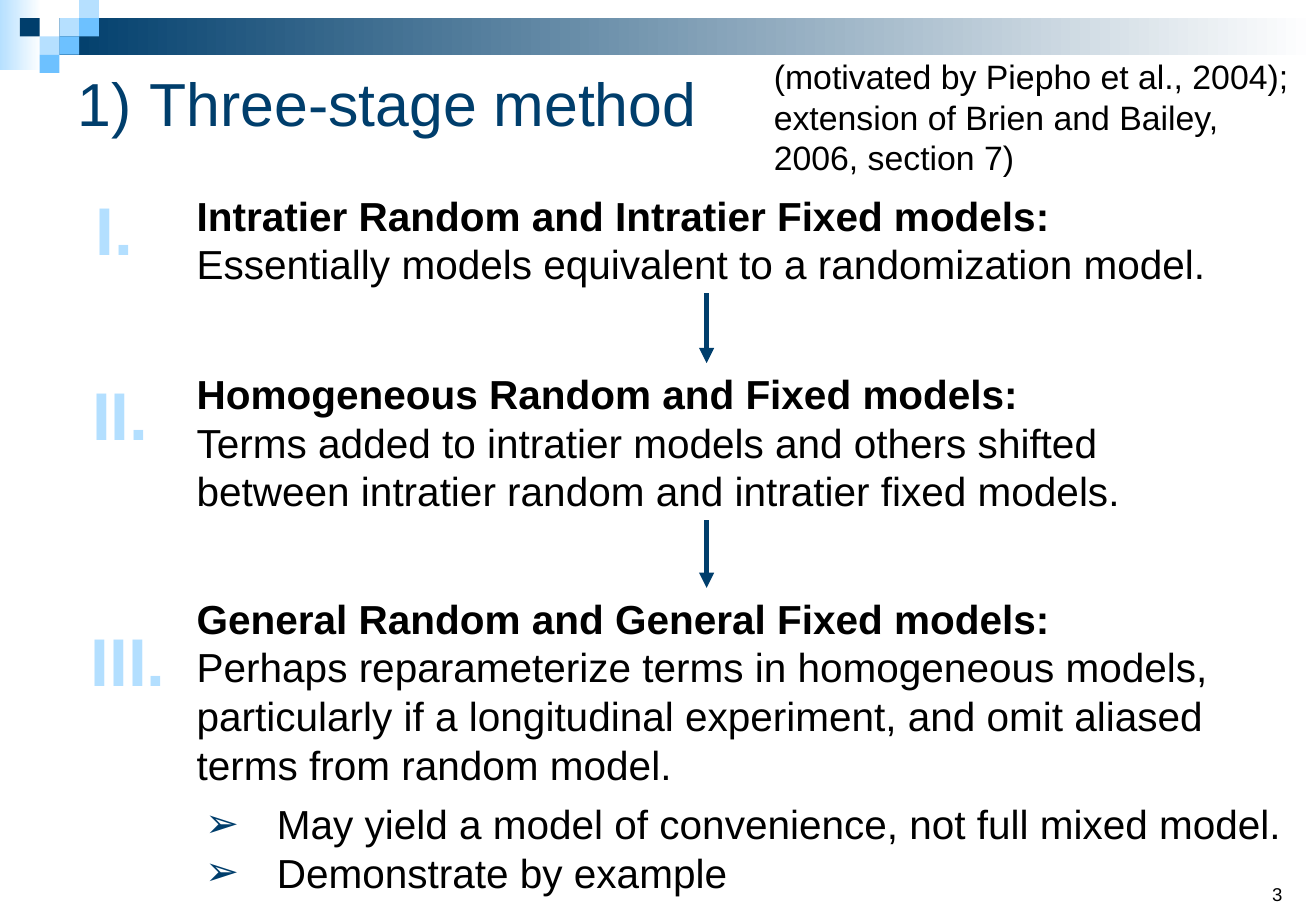
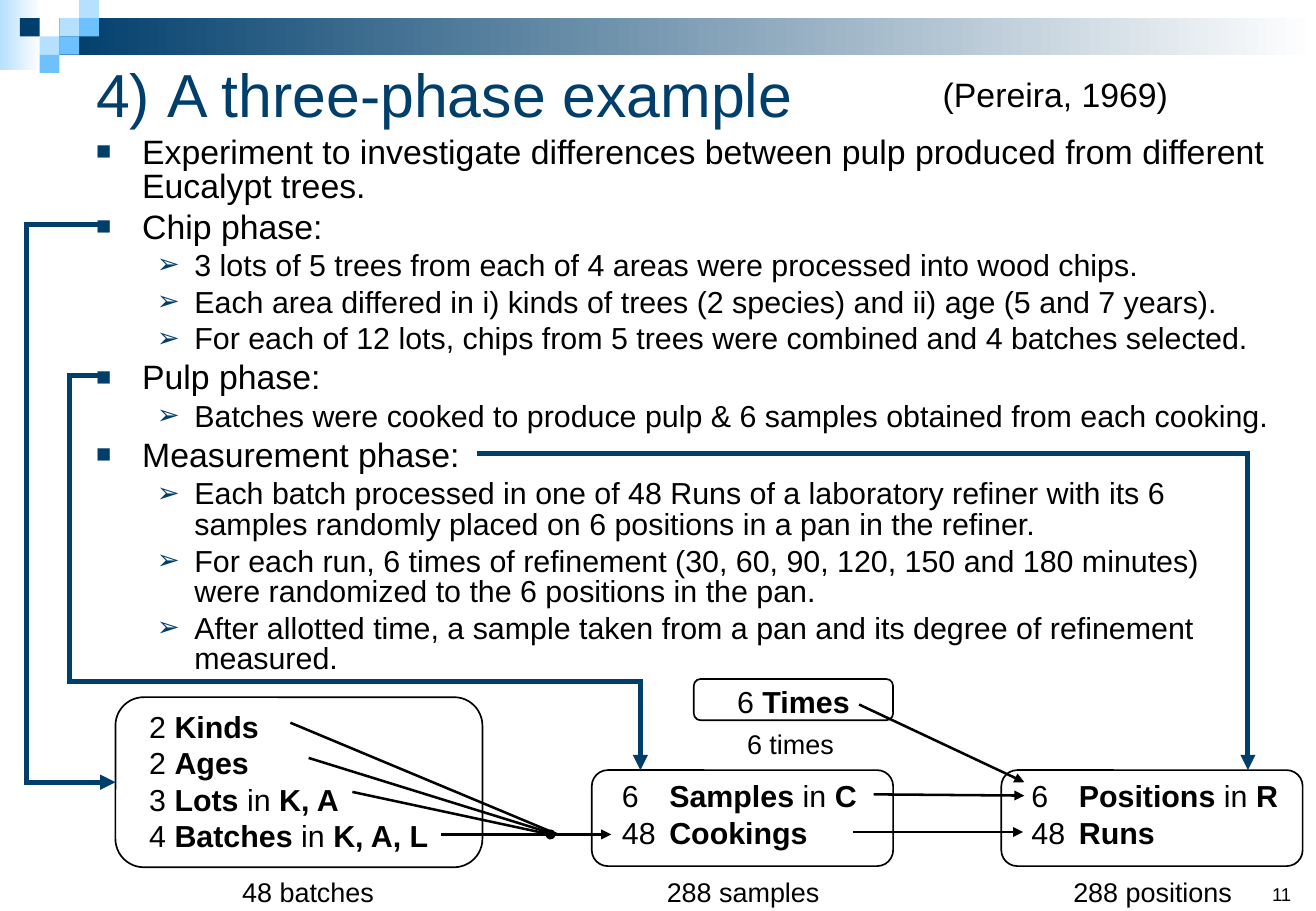
from dataclasses import dataclass
from typing import Any, NamedTuple, Optional

from lxml import etree
from pptx import Presentation
from pptx.dml.color import RGBColor
from pptx.enum.shapes import MSO_CONNECTOR, MSO_SHAPE
from pptx.enum.text import MSO_ANCHOR, MSO_AUTO_SIZE, PP_ALIGN
from pptx.oxml.ns import qn
from pptx.util import Inches, Pt

LEFT, CENTER = PP_ALIGN.LEFT, PP_ALIGN.CENTER
TOP, MIDDLE, BOTTOM = MSO_ANCHOR.TOP, MSO_ANCHOR.MIDDLE, MSO_ANCHOR.BOTTOM
NO_FIT = MSO_AUTO_SIZE.NONE
RECTANGLE, ROUNDED = MSO_SHAPE.RECTANGLE, MSO_SHAPE.ROUNDED_RECTANGLE
STRAIGHT = MSO_CONNECTOR.STRAIGHT

COLORS = {
    "navy": "003E6C", "sky": "6DC1FF", "pale": "B6E0FF", "white": "FFFFFF",
    "black": "000000", "numeral": "B3DFFF", "numeral_edge": "005390",
}
FONT = "Arial"
CELL = Inches(0.1)
SLIDE_COLUMNS, SLIDE_ROWS = 108.3, 75
TILE_COLUMNS, TILE_ROWS = 1.63, 1.5
TILES = [(3, 1, "pale"), (4, 0, "pale"), (4, 1, "sky"), (2, 2, "pale"),
         (1, 1, "navy"), (3, 2, "sky"), (2, 3, "sky")]


class Box(NamedTuple):
    column: float
    row: float
    columns: float
    rows: float


class Point(NamedTuple):
    column: float
    row: float


class Bullet(NamedTuple):
    symbol: str
    percent: int


@dataclass(frozen=True)
class Style:
    size: float
    color: str = "black"
    align: Any = LEFT
    margin: float = 0
    indent: float = 0
    bullet: Optional[Bullet] = None
    level: int = 0
    spacing: float = 1.0
    before: float = 0
    bold: bool = False
    edge: str = ""


@dataclass(frozen=True)
class Stage:
    numeral: str
    numeral_box: Box
    text: str
    text_box: Box


@dataclass(frozen=True)
class Panel:
    box: Box
    lines: list
    style: Style
    caption: str
    caption_box: Box


@dataclass(frozen=True)
class Stroke:
    start: Point
    end: Point
    head: str = ""


TITLE = Style(36, "navy", margin=5.9, indent=-5.9)
NUMBER, CITATION = Style(11), Style(20)
STAGE = Style(24)
NUMERAL = Style(40, "numeral", CENTER, bold=True, edge="numeral_edge")
REMARK = Style(24, margin=5.9, indent=-5.9, bullet=Bullet("➢", 100))
PHASE = Style(20, margin=3.8, indent=-3.8, bullet=Bullet("■", 75), spacing=0.84, before=4)
DETAIL = Style(18, margin=8.1, indent=-3.1, bullet=Bullet("➢", 90), level=1,
               spacing=0.84, before=3.6)
FACTORS = Style(18, margin=2)
TABBED = Style(18, margin=5.9, indent=-3.9)
CENTERED = Style(18, align=CENTER)
CAPTION = Style(16, align=CENTER)

STAGES = [
    Stage("I.", Box(6.3, 15, 6.2, 7.7),
          "*Intratier Random and Intratier Fixed models: *"
          "Essentially models equivalent to a randomization model.",
          Box(15.2, 15.2, 85.9, 9.1)),
    Stage("II.", Box(5.7, 30.2, 8.4, 7.7),
          "*Homogeneous Random and Fixed models: *\nTerms added to intratier models "
          "and others shifted between intratier random and intratier fixed models.",
          Box(15.2, 29.9, 85.9, 13.1)),
    Stage("III.", Box(5, 50.5, 11.1, 7.7),
          "*General Random and General Fixed models: *\nPerhaps reparameterize terms in "
          "homogeneous models, particularly if a longitudinal experiment, and omit "
          "aliased terms from random model.",
          Box(15.2, 48.4, 85.9, 17.2)),
]
REMARKS = ["May yield a model of convenience, not full mixed model.", "Demonstrate by example"]

PHASES = [
    ("Experiment to investigate differences between pulp produced from different "
     "Eucalypt trees.", []),
    ("Chip phase:", [
        "3 lots of 5 trees from each of 4 areas were processed into wood chips.",
        "Each area differed in i) kinds of trees (2 species) and ii) age (5 and 7 years).",
        "For each of 12 lots, chips from 5 trees were combined and 4 batches selected."]),
    ("Pulp phase:", [
        "Batches were cooked to produce pulp & 6 samples obtained from each cooking."]),
    ("Measurement phase:", [
        "Each batch processed in one of 48 Runs of a laboratory refiner with its 6 samples "
        "randomly placed on 6 positions in a pan in the refiner.",
        "For each run, 6 times of refinement (30, 60, 90, 120, 150 and 180 minutes) \n"
        "were randomized to the 6 positions in the pan.",
        "After allotted time, a sample taken from a pan and its degree of refinement "
        "measured."]),
]
BATCHES = Panel(Box(9.5, 57.4, 30.2, 14),
                ["2 *Kinds*", "2 *Ages*", "3 *Lots* in *K, A*", "4 *Batches* in *K, A, L*"],
                FACTORS, "48 batches", Box(16.4, 71.6, 17.9, 3.4))
PANELS = [
    Panel(Box(48.7, 63.4, 24.8, 7.9), ["6\t*Samples* in *C*", "48\t*Cookings*"],
          TABBED, "288 samples", Box(52.2, 71.6, 17.9, 3.4)),
    Panel(Box(82.4, 63.4, 24.8, 7.9), ["6\t*Positions* in *R*", "48\t*Runs*"],
          TABBED, "288 positions", Box(85.9, 71.6, 17.9, 3.4)),
    Panel(Box(57.1, 55.9, 16.4, 3.4), ["6 *Times*"],
          CENTERED, "6 times", Box(56.1, 59.4, 17.9, 3.4)),
]
STROKES = [
    Stroke(Point(36.3, 68.7), Point(50.3, 68.7), "triangle"),
    Stroke(Point(29, 65.2), Point(45.3, 68.7), "oval"),
    Stroke(Point(25.4, 62.4), Point(45.7, 68.7)),
    Stroke(Point(23.9, 59.5), Point(45.9, 68.7)),
    Stroke(Point(70.2, 68.5), Point(84.2, 68.5), "triangle"),
    Stroke(Point(71.9, 65.4), Point(84.3, 65.5), "triangle"),
    Stroke(Point(70.7, 58), Point(84.3, 64.4), "triangle"),
]
CHIP_ROUTE = [Point(8, 18.5), Point(2.2, 18.5), Point(2.2, 64.4), Point(9.5, 64.4)]
PULP_ROUTE = [Point(8.8, 30.9), Point(5.7, 30.9), Point(5.7, 56.1),
              Point(52.7, 56.1), Point(52.7, 63.4)]
MEASUREMENT_ROUTE = [Point(39.5, 37.3), Point(102.7, 37.3), Point(102.7, 63.4)]


def cells(*counts: float) -> list:
    return [round(count * CELL) for count in counts]


def color(name: str) -> RGBColor:
    return RGBColor.from_string(COLORS[name])


def assign(target: Any, values: dict) -> None:
    for name, value in values.items():
        setattr(target, name, value)


def add_child(parent: Any, tag: str, **attributes: str) -> Any:
    return etree.SubElement(parent, qn(tag), attributes)


def add_span(para: Any, text: str, style: Style, bold: bool) -> None:
    span = para.add_run()
    span.text = text
    assign(span.font, {"name": FONT, "size": Pt(style.size), "bold": bold})
    span.font.color.rgb = color(style.color)
    if style.edge:
        edge = etree.Element(qn("a:ln"), w=str(Pt(1)))
        add_child(add_child(edge, "a:solidFill"), "a:srgbClr", val=COLORS[style.edge])
        span.font._element.insert(0, edge)


def write_para(para: Any, text: str, style: Style) -> None:
    assign(para, {"alignment": style.align, "level": style.level,
                  "line_spacing": style.spacing, "space_before": Pt(style.before)})
    margin, indent = cells(style.margin, style.indent)
    properties = para._p.get_or_add_pPr()
    properties.set("marL", str(margin))
    properties.set("indent", str(indent))
    if style.bullet:
        add_child(add_child(properties, "a:buClr"), "a:srgbClr", val=COLORS["navy"])
        add_child(properties, "a:buSzPct", val=str(style.bullet.percent * 1000))
        add_child(properties, "a:buFont", typeface=FONT)
        add_child(properties, "a:buChar", char=style.bullet.symbol)
    for part, stretch in enumerate(text.split("*")):
        for number, piece in enumerate(stretch.split("\n")):
            if number:
                para.add_line_break()
            if piece:
                add_span(para, piece, style, style.bold or part % 2 == 1)


def write(shape: Any, lines: list, anchor: Any = TOP) -> None:
    frame = shape.text_frame
    assign(frame, {"word_wrap": True, "auto_size": NO_FIT, "vertical_anchor": anchor})
    for number, (text, style) in enumerate(lines):
        para = frame.add_paragraph() if number else frame.paragraphs[0]
        write_para(para, text, style)


def fill_placeholder(shape: Any, box: Box, lines: list, anchor: Any = TOP) -> None:
    assign(shape, dict(zip(("left", "top", "width", "height"), cells(*box))))
    write(shape, lines, anchor)


def add_text(page: Any, box: Box, lines: list, anchor: Any = TOP) -> Any:
    shape = page.shapes.add_textbox(*cells(*box))
    write(shape, lines, anchor)
    return shape


def add_block(page: Any, box: Box, *fill: str) -> None:
    block = page.shapes.add_shape(RECTANGLE, *cells(*box))
    block.shadow.inherit = False
    block.line.fill.background()
    if len(fill) == 1:
        block.fill.solid()
        block.fill.fore_color.rgb = color(fill[0])
        return
    block.fill.gradient()
    block.fill.gradient_angle = 0
    for stop, name in zip(block.fill.gradient_stops, fill):
        stop.color.rgb = color(name)


def add_line(page: Any, stroke: Stroke, name: str = "black", width: float = 1.5) -> Any:
    line = page.shapes.add_connector(STRAIGHT, *cells(*stroke.start, *stroke.end))
    line.line.color.rgb = color(name)
    line.line.width = Pt(width)
    properties = line.element.spPr
    outline = properties.find(qn("a:ln"))
    outline.set("cap", "sq" if width > 2 else "flat")
    if stroke.head:
        add_child(outline, "a:tailEnd", type=stroke.head)
    add_child(properties, "a:effectLst")
    return line


def add_route(page: Any, points: list) -> Any:
    last = len(points) - 2
    legs = [add_line(page, Stroke(start, end, "triangle" if number == last else ""), "navy", 3)
            for number, (start, end) in enumerate(zip(points, points[1:]))]
    return legs[-1]


def add_panel(page: Any, panel: Panel) -> Any:
    shape = page.shapes.add_shape(ROUNDED, *cells(*panel.box))
    shape.shadow.inherit = False
    shape.fill.background()
    shape.line.color.rgb = color("black")
    shape.line.width = Pt(1)
    side, edge = cells(0.1, 0.2)
    assign(shape.text_frame, {"margin_left": side, "margin_right": side,
                              "margin_top": edge, "margin_bottom": edge})
    write(shape, [(line, panel.style) for line in panel.lines])
    add_text(page, panel.caption_box, [(panel.caption, CAPTION)])
    return shape


def start_page(deck: Any, layout: int, title: str, title_box: Box, number: str) -> Any:
    page = deck.slides.add_slide(deck.slide_layouts[layout])
    add_block(page, Box(0, 0, 3.4, 5.8), "pale", "white")
    band_start = 3 * TILE_COLUMNS
    add_block(page, Box(band_start, TILE_ROWS, SLIDE_COLUMNS - band_start, 2 * TILE_ROWS),
              "navy", "white")
    for column, row, name in TILES:
        add_block(page, Box(column * TILE_COLUMNS, row * TILE_ROWS, TILE_COLUMNS, TILE_ROWS), name)
    fill_placeholder(page.shapes.title, title_box, [(title, TITLE)], MIDDLE)
    add_text(page, Box(103.7, 70, 4.6, 5), [(number, NUMBER)], BOTTOM)
    return page


def build_method(deck: Any) -> None:
    page = start_page(deck, 5, "1)\tThree-stage method", Box(5.4, 5, 102.9, 6.8), "3")
    boxes = []
    for stage in STAGES:
        boxes.append(add_text(page, stage.text_box, [(stage.text, STAGE)]))
        add_text(page, stage.numeral_box, [(stage.numeral, NUMERAL)])
    for upper, lower in zip(boxes, boxes[1:]):
        arrow = add_line(page, Stroke(Point(0, 0), Point(0, 0), "triangle"), "navy", 3)
        arrow.begin_connect(upper, 2)
        arrow.end_connect(lower, 0)
    add_text(page, Box(15.9, 65.3, 92.4, 9.1), [(remark, REMARK) for remark in REMARKS])
    add_text(page, Box(62.7, 4.1, 45.6, 11.1),
             [("(motivated by Piepho et al., 2004);\n"
               "extension of Brien and Bailey, 2006, section 7)", CITATION)])


def build_example(deck: Any) -> None:
    page = start_page(deck, 1, "4)\tA three-phase example", Box(6.9, 3.3, 98, 8.7), "11")
    lines = []
    for phase, details in PHASES:
        lines += [(phase, PHASE)] + [(detail, DETAIL) for detail in details]
    fill_placeholder(page.placeholders[1], Box(6.9, 10.8, 99.3, 44.5), lines)
    add_text(page, Box(76.6, 5.6, 28.4, 4.4), [("(Pereira, 1969)", CITATION)])
    batches = add_panel(page, BATCHES)
    for panel in PANELS:
        add_panel(page, panel)
    for stroke in STROKES:
        add_line(page, stroke)
    add_route(page, CHIP_ROUTE).end_connect(batches, 1)
    add_route(page, PULP_ROUTE)
    add_route(page, MEASUREMENT_ROUTE)


def main() -> None:
    deck = Presentation()
    deck.slide_width, deck.slide_height = cells(SLIDE_COLUMNS, SLIDE_ROWS)
    build_method(deck)
    build_example(deck)
    deck.save("out.pptx")


if __name__ == "__main__":
    main()
